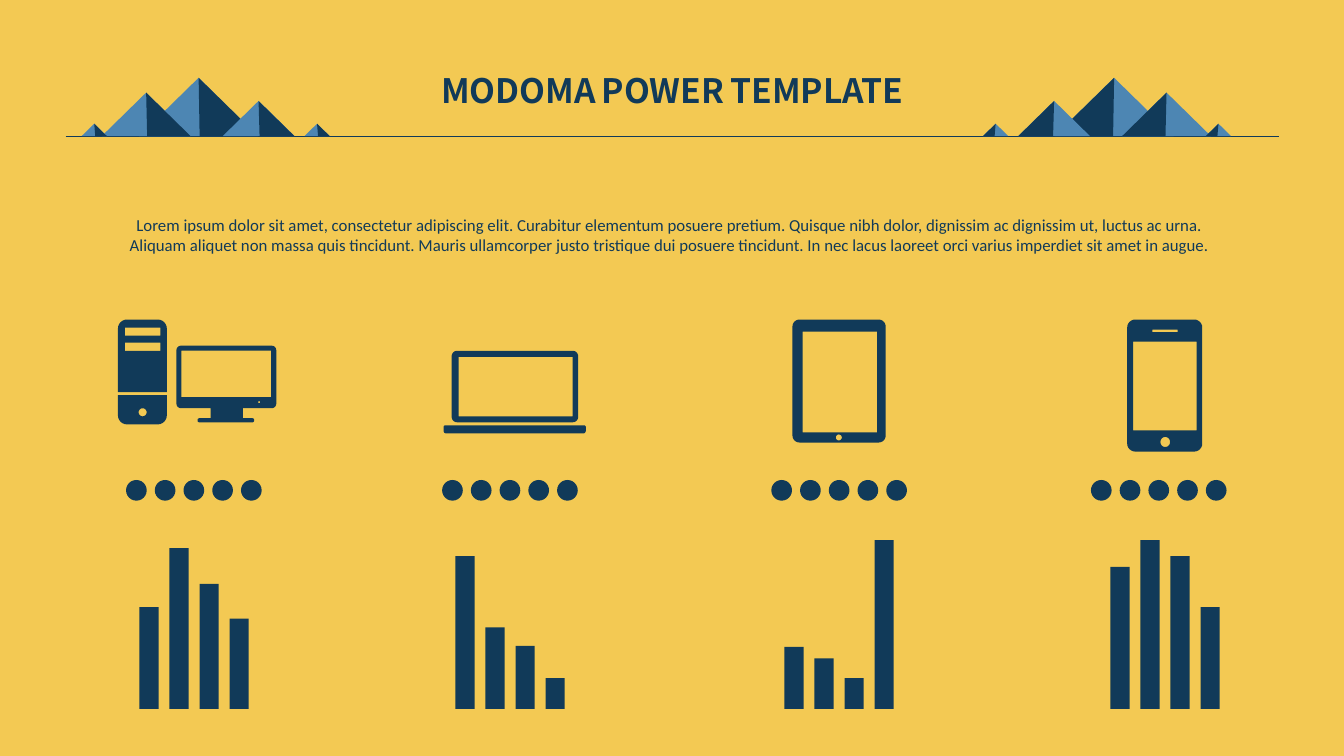
import math
from dataclasses import dataclass

from lxml import etree
from pptx import Presentation
from pptx.dml.color import RGBColor
from pptx.enum.shapes import MSO_CONNECTOR, MSO_SHAPE
from pptx.enum.text import MSO_AUTO_SIZE, PP_ALIGN
from pptx.oxml.ns import qn
from pptx.util import Inches, Pt

OVAL, RECTANGLE, TRIANGLE = MSO_SHAPE.OVAL, MSO_SHAPE.RECTANGLE, MSO_SHAPE.ISOSCELES_TRIANGLE
STRAIGHT, CENTER = MSO_CONNECTOR.STRAIGHT, PP_ALIGN.CENTER
FIT_SHAPE, NO_FIT = MSO_AUTO_SIZE.SHAPE_TO_FIT_TEXT, MSO_AUTO_SIZE.NONE
COLORS = {"background": "F3C953", "navy": "113A59", "blue": "4D86B3"}

# Square grid: 75 rows fill the slide's height
SLIDE_WIDTH, SLIDE_HEIGHT = Inches(13.33), Inches(7.5)
CELL = SLIDE_HEIGHT / 75
HORIZON = 13.5
MIRROR_SUM = 130.2
SLOPE = 0.49
DOT_TOP, DOT_SIZE, DOT_STEP, DOT_COUNT = 47.62, 2.05, 2.85, 5
BAR_BASE, BAR_WIDTH, BAR_STEP = 70.33, 1.9, 2.98
CORNER_STEPS = 6


@dataclass
class Mountain:
    left: float
    width: float


@dataclass
class Part:
    left: float
    top: float
    width: float
    height: float
    top_radius: float = 0
    bottom_radius: float = 0


@dataclass
class DeviceColumn:
    dots_left: float
    bars_left: float
    bar_heights: tuple[float, ...]
    icons: list[list[Part]]


def grid(cells: float) -> int:
    return round(cells * CELL)


def color(name: str) -> RGBColor:
    return RGBColor.from_string(COLORS[name])


def paint(shape, name: str) -> None:
    shape.shadow.inherit = False
    shape.fill.solid()
    shape.fill.fore_color.rgb = color(name)
    shape.line.fill.background()


def draw_shape(shapes, kind, left: float, top: float, width: float, height: float,
               name: str = "navy") -> None:
    paint(shapes.add_shape(kind, grid(left), grid(top), grid(width), grid(height)), name)


def draw_outline(shapes, contours: list[list[tuple[float, float]]]) -> None:
    contours = [[(grid(x), grid(y)) for x, y in contour] for contour in contours]
    builder = shapes.build_freeform(*contours[0][0])
    for index, contour in enumerate(contours):
        if index:
            builder.move_to(*contour[0])
        builder.add_line_segments(contour[1:], close=True)
    paint(builder.convert_to_shape(), "navy")


def rounded_contour(part: Part) -> list[tuple[float, float]]:
    right, bottom = part.left + part.width, part.top + part.height
    upper, lower = part.top_radius, part.bottom_radius
    corners = [(part.left + upper, part.top + upper, upper, 180),
               (right - upper, part.top + upper, upper, 270),
               (right - lower, bottom - lower, lower, 0),
               (part.left + lower, bottom - lower, lower, 90)]
    points = []
    for x, y, radius, start in corners:
        steps = CORNER_STEPS if radius else 0
        for step in range(steps + 1):
            angle = math.radians(start + 90 * step / CORNER_STEPS)
            points.append((x + radius * math.cos(angle), y + radius * math.sin(angle)))
    return points


def draw_mountains(slide, mountains: list[Mountain], mirrored: bool) -> None:
    shapes = slide.shapes.add_group_shape().shapes
    for mountain in mountains:
        left, width, height = mountain.left, mountain.width, mountain.width * SLOPE
        peak = left + width / 2
        face = [(peak, HORIZON - height), (peak - 0.1, HORIZON), (left, HORIZON)]
        if mirrored:
            left = MIRROR_SUM - left - width
            face = [(MIRROR_SUM - x, y) for x, y in face]
        draw_shape(shapes, TRIANGLE, left, HORIZON - height, width, height, "blue")
        draw_outline(shapes, [face])


def draw_text(slide, text: str, left: float, top: float, width: float, height: float,
              font: str, size: int, wrap: bool):
    box = slide.shapes.add_textbox(grid(left), grid(top), grid(width), grid(height))
    frame = box.text_frame
    frame.text = text
    frame.word_wrap = wrap
    frame.auto_size = NO_FIT if wrap else FIT_SHAPE
    para = frame.paragraphs[0]
    para.alignment = CENTER
    span = para.runs[0]
    span.font.name, span.font.size = font, Pt(size)
    span.font.color.rgb = color("navy")
    return frame


def draw_column(slide, column: DeviceColumn) -> None:
    for parts in column.icons:
        draw_outline(slide.shapes, [rounded_contour(part) for part in parts])
    for index in range(DOT_COUNT):
        draw_shape(slide.shapes, OVAL, column.dots_left + index * DOT_STEP, DOT_TOP,
                   DOT_SIZE, DOT_SIZE)
    for index, height in enumerate(column.bar_heights):
        draw_shape(slide.shapes, RECTANGLE, column.bars_left + index * BAR_STEP,
                   BAR_BASE - height, BAR_WIDTH, height)


MOUNTAINS = [Mountain(104.6, 11.8), Mountain(101, 7.1), Mountain(111.3, 8.8),
             Mountain(97.5, 2.5), Mountain(119.6, 2.5)]

# Each icon lists its solid parts and the openings inside them
MONITOR = [Part(17.5, 34.3, 9.9, 6.2, 0.45, 0.45), Part(18, 34.8, 8.9, 4.6),
           Part(25.6, 39.8, 0.2, 0.2, 0.1, 0.1), Part(20.9, 40.5, 3.2, 1),
           Part(19.6, 41.5, 5.6, 0.4, 0.15, 0.15)]
TOWER_BASE = [Part(11.7, 39.2, 4.85, 2.9, 0, 0.9), Part(13.75, 40.5, 0.8, 0.8, 0.4, 0.4)]
TOWER = [Part(11.7, 31.7, 4.85, 7.2, 0.9, 0), Part(12.4, 32.5, 3.5, 0.8),
         Part(12.4, 34, 3.5, 0.8)]
KEYBOARD = [Part(44, 42.2, 14.1, 0.8, 0.15, 0.25)]
LAPTOP_SCREEN = [Part(44.8, 34.8, 12.55, 7.1, 0.55, 0.55), Part(45.5, 35.4, 11.3, 5.9)]
TABLET = [Part(78.6, 31.7, 9.25, 12.2, 0.7, 0.7), Part(79.6, 32.9, 7.4, 10),
          Part(82.9, 43.1, 0.6, 0.6, 0.3, 0.3)]
PHONE = [Part(111.8, 31.7, 7.45, 13.1, 0.8, 0.8), Part(114.3, 32.7, 2.5, 0.25),
         Part(112.4, 33.9, 6.3, 8.8), Part(115.1, 43.35, 0.95, 1, 0.47, 0.47)]

COLUMNS = [
    DeviceColumn(12.5, 13.83, (10.1, 15.95, 12.4, 8.95), [MONITOR, TOWER_BASE, TOWER]),
    DeviceColumn(43.85, 45.17, (15.15, 8.1, 6.25, 3.05), [KEYBOARD, LAPTOP_SCREEN]),
    DeviceColumn(76.5, 77.8, (6.15, 5, 3.05, 16.75), [TABLET]),
    DeviceColumn(108.2, 110.13, (14.1, 16.75, 15.15, 10.1), [PHONE]),
]

deck = Presentation()
deck.slide_width, deck.slide_height = SLIDE_WIDTH, SLIDE_HEIGHT
page = deck.slides.add_slide(deck.slide_layouts[6])
page.background.fill.solid()
page.background.fill.fore_color.rgb = color("background")

# Title over the horizon line
title = draw_text(page, "MODOMA POWER TEMPLATE", 40.7, 6.5, 51.9, 4.8,
                  "Noto Sans CJK SC", 24, wrap=False)
title.margin_left = title.margin_right = grid(0.8)
title.margin_top = title.margin_bottom = grid(0.4)
title_font = title.paragraphs[0].runs[0].font
title_font.bold = True
title_font._element.set("cap", "small")

horizon = page.shapes.add_connector(STRAIGHT, grid(6.5), grid(HORIZON),
                                    grid(126.9), grid(HORIZON))
horizon.line.color.rgb = color("navy")
horizon.line.width = Pt(0.5)
etree.SubElement(horizon._element.spPr, qn("a:effectLst"))

# Mountains on both sides
for mirrored in (False, True):
    draw_mountains(page, MOUNTAINS, mirrored)

# Devices with ratings and bars
for column in COLUMNS:
    draw_column(page, column)

# Introduction
introduction = draw_text(
    page, "Lorem ipsum dolor sit amet, consectetur adipiscing elit. Curabitur elementum "
    "posuere pretium. Quisque nibh dolor, dignissim ac dignissim ut, luctus ac urna. "
    "Aliquam aliquet non massa quis tincidunt. Mauris ullamcorper justo tristique dui "
    "posuere tincidunt. In nec lacus laoreet orci varius imperdiet sit amet in augue.",
    9.8, 20.83, 113.8, 13.4, "Calibri", 12, wrap=True)
introduction.margin_left, introduction.margin_right = grid(1.5), grid(2)

deck.save("out.pptx")
